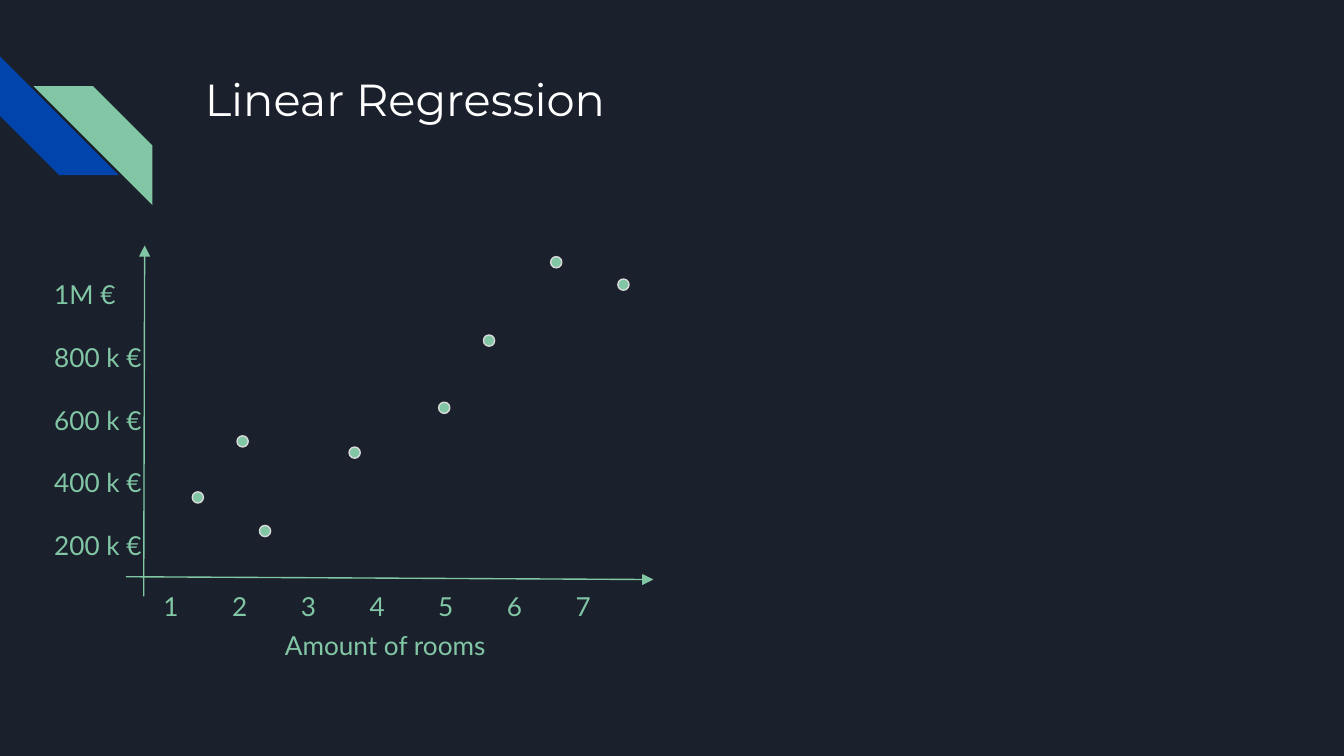
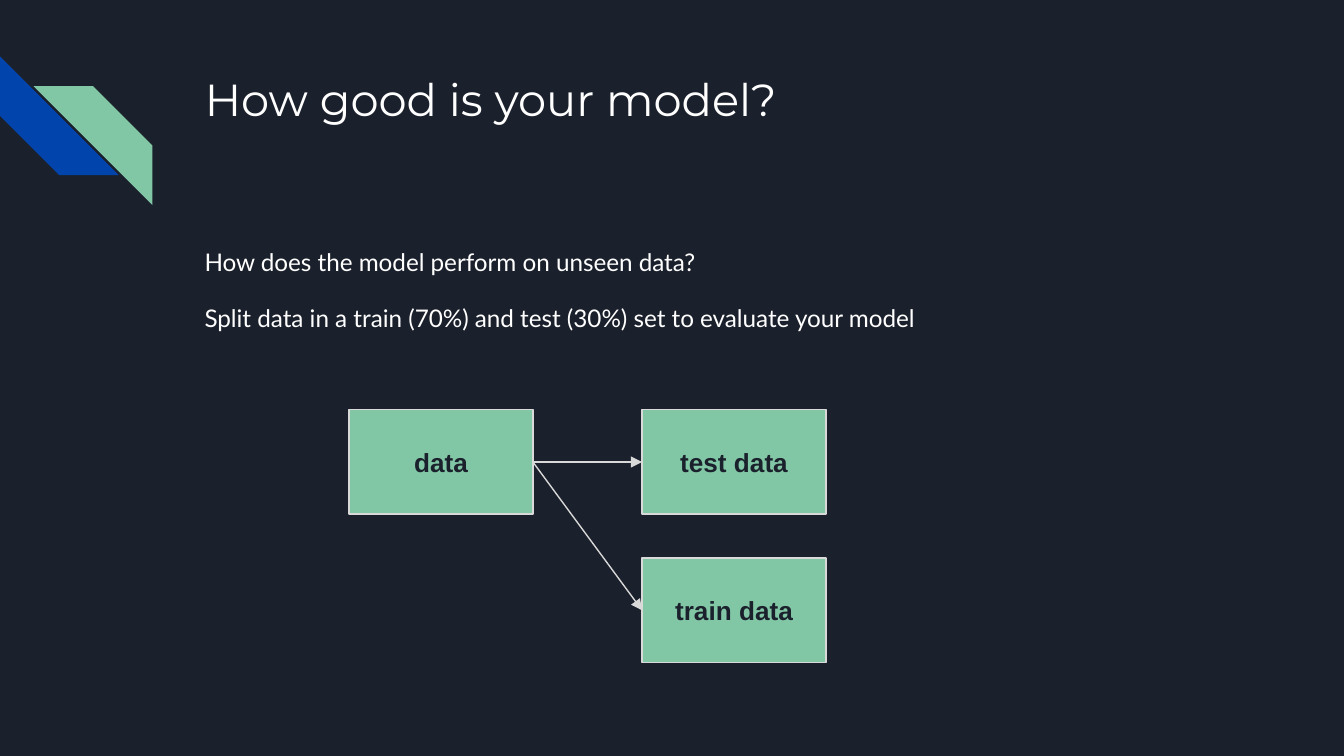
"""Builds two slides on linear regression and the split into train and test data."""
from lxml import etree
from pptx import Presentation
from pptx.dml.color import RGBColor
from pptx.enum.shapes import MSO_CONNECTOR, MSO_SHAPE
from pptx.enum.text import MSO_ANCHOR, MSO_AUTO_SIZE, PP_ALIGN
from pptx.oxml.ns import qn
from pptx.util import Pt

NIGHT = RGBColor(0x1B, 0x21, 0x2C)
BLUE = RGBColor(0x01, 0x45, 0xAC)
GREEN = RGBColor(0x82, 0xC7, 0xA5)
GREY = RGBColor(0xD9, 0xD9, 0xD9)
WHITE = RGBColor(0xFF, 0xFF, 0xFF)

STRIPE, OVAL, RECT = MSO_SHAPE.DIAGONAL_STRIPE, MSO_SHAPE.OVAL, MSO_SHAPE.RECTANGLE
STRAIGHT = MSO_CONNECTOR.STRAIGHT
TOP, MIDDLE = MSO_ANCHOR.TOP, MSO_ANCHOR.MIDDLE
LEFT, CENTER = PP_ALIGN.LEFT, PP_ALIGN.CENTER
FIXED = MSO_AUTO_SIZE.NONE

INSET = 7.2
ROOM_STEP = 36.8
PRICES = ["1M €", "800 k €", "600 k €", "400 k €", "200 k €"]
HOMES = [(103, 263.5), (139, 281.5), (127, 233.5), (187, 239.5),
         (235, 215.5), (259, 179.5), (295, 137.5), (331, 149.5)]


def write(shape, lines, size, font, color, bold=False, align=LEFT, anchor=TOP):
    """Fill a shape with formatted lines and return its paragraphs."""
    frame = shape.text_frame
    frame.text = "\n".join(lines)
    frame.word_wrap = True
    frame.auto_size = FIXED
    frame.vertical_anchor = anchor
    frame.margin_left = frame.margin_right = Pt(INSET)
    frame.margin_top = frame.margin_bottom = Pt(INSET)
    for para in frame.paragraphs:
        para.alignment = align
        for run in para.runs:
            run.font.size = Pt(size)
            run.font.name = font
            run.font.bold = bold
            run.font.color.rgb = color
    return frame.paragraphs


def add_text(slide, box, lines, size=14, color=GREEN):
    """Add a text box in the body font and return its paragraphs."""
    shape = slide.shapes.add_textbox(*map(Pt, box))
    return write(shape, lines, size, "Lato", color)


def add_form(slide, kind, box, fill, line=None):
    """Add a flat preset shape."""
    shape = slide.shapes.add_shape(kind, *map(Pt, box))
    shape.shadow.inherit = False
    shape.fill.solid()
    shape.fill.fore_color.rgb = fill
    if line is None:
        shape.line.fill.background()
    else:
        shape.line.color.rgb = line
        shape.line.width = Pt(0.75)
    return shape


def add_arrow(slide, start, end, color):
    """Add a thin straight arrow between two points."""
    arrow = slide.shapes.add_connector(STRAIGHT, *map(Pt, start + end))
    arrow.line.color.rgb = color
    arrow.line.width = Pt(0.75)
    props = arrow.element.spPr
    etree.SubElement(props.find(qn("a:ln")), qn("a:tailEnd"), type="triangle")
    etree.SubElement(props, qn("a:effectLst"))
    return arrow


def set_tabs(para, step, count):
    """Give a paragraph evenly spaced tab stops."""
    tabs = etree.SubElement(para._p.get_or_add_pPr(), qn("a:tabLst"))
    for stop in range(1, count + 1):
        etree.SubElement(tabs, qn("a:tab"), pos=str(Pt(step * stop)), algn="l")


def add_slide(deck, title):
    """Add a slide with the corner stripes and a title."""
    slide = deck.slides.add_slide(deck.slide_layouts[5])
    add_form(slide, STRIPE, (0, 30.2, 63.6, 63.6), BLUE).rotation = 270
    add_form(slide, STRIPE, (18, 46.2, 63.6, 63.6), GREEN).rotation = 90
    head = slide.shapes.title
    head.left, head.top, head.width, head.height = map(Pt, (102.5, 31, 554.5, 72))
    write(head, [title], 24, "Montserrat", WHITE)
    return slide


def add_plot(slide):
    """Draw house prices against the number of rooms."""
    add_arrow(slide, (77, 319.5), (77.5, 131.5), GREEN)
    add_arrow(slide, (67.5, 309), (350, 310.5), GREEN)
    add_text(slide, (145.5, 330, 126, 31.5), ["Amount of rooms"])
    rooms = "\t".join(str(num) for num in range(1, 8))
    scale = add_text(slide, (80.5, 309, 266, 31.5), [rooms])
    set_tabs(scale[0], ROOM_STEP, 6)
    for para in add_text(slide, (22, 142, 61.5, 167), PRICES)[1:]:
        para.space_before = Pt(16.8)
    for left, top in HOMES:
        add_form(slide, OVAL, (left, top, 6, 6), GREEN, GREY)


def add_box(slide, left, top, label):
    """Add a labelled box of the data flow."""
    box = add_form(slide, RECT, (left, top, 98.5, 56), GREEN, GREY)
    write(box, [label], 14, "Arial", NIGHT, True, CENTER, MIDDLE)
    return box


def add_split(slide):
    """Explain and draw the split of the data."""
    lines = ["How does the model perform on unseen data?",
             "Split data in a train (70%) and test (30%) set to evaluate your model"]
    paras = add_text(slide, (102.5, 123, 554.5, 79), lines, 13, WHITE)
    for para in paras:
        para.line_spacing = 1.15
    paras[1].space_before = paras[1].space_after = Pt(12)
    data = add_box(slide, 187, 219.5, "data")
    for top, label in ((299, "train data"), (219.5, "test data")):
        part = add_box(slide, 344, top, label)
        arrow = add_arrow(slide, (285.5, 247.5), (344, top + 28), GREY)
        arrow.begin_connect(data, 3)
        arrow.end_connect(part, 1)


def main():
    """Build and save the deck."""
    deck = Presentation()
    deck.slide_width, deck.slide_height = Pt(720), Pt(405)
    back = deck.slide_master.background.fill
    back.solid()
    back.fore_color.rgb = NIGHT
    add_plot(add_slide(deck, "Linear Regression"))
    add_split(add_slide(deck, "How good is your model?"))
    deck.save("out.pptx")


if __name__ == "__main__":
    main()
